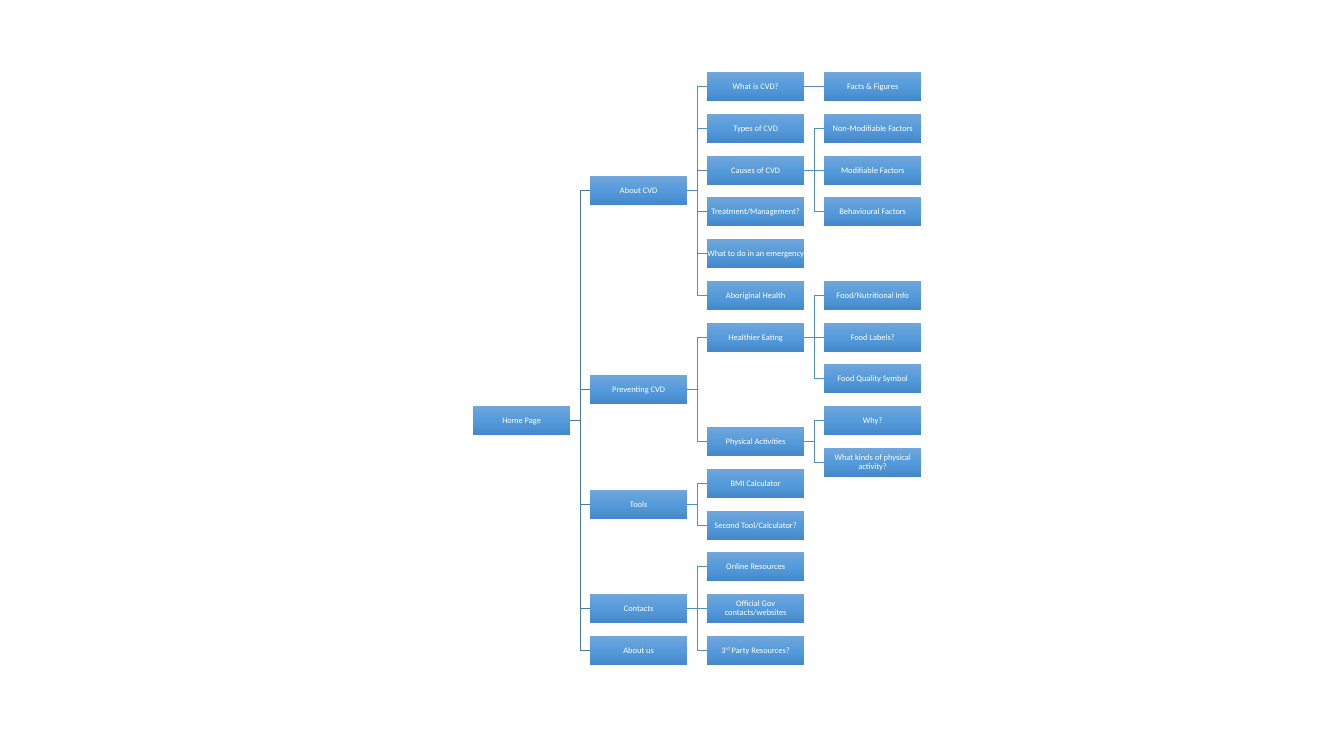
"""Site map of a heart health website, laid out as a compact left-to-right tree."""
from dataclasses import dataclass
from itertools import zip_longest

from pptx import Presentation, oxml, util as u
from pptx.dml.color import RGBColor
from pptx.enum import shapes, text
from pptx.oxml import ns


@dataclass(frozen=True)
class Theme:
    font: str = "Calibri"
    size: float = 6
    ink: str = "FFFFFF"
    stops: tuple = ((0, "71A6DB"), (50, "559BDB"), (100, "448ACA"))
    trunk: str = "497CAB"
    twig: str = "538DC1"
    stroke: float = 0.5


SCALE = 914400 / 100.8
LEFT, TOP, WIDE, HIGH = 473, 72, 97, 29
STEP, SPAN, ROWS = 117, 564, 13.5

SITE = {
    "About CVD": {
        "What is CVD?": {"Facts & Figures": {}},
        "Types of CVD": {},
        "Causes of CVD": {
            "Non-Modifiable Factors": {},
            "Modifiable Factors": {},
            "Behavioural Factors": {},
        },
        "Treatment/Management?": {},
        "What to do in an emergency": {},
        "Aboriginal Health": {},
    },
    "Preventing CVD": {
        "Healthier Eating": {
            "Food/Nutritional Info": {},
            "Food Labels?": {},
            "Food Quality Symbol": {},
        },
        "Physical Activities": {
            "Why?": {},
            "What kinds of physical activity?": {},
        },
    },
    "Tools": {"BMI Calculator": {}, "Second Tool/Calculator?": {}},
    "Contacts": {
        "Online Resources": {},
        "Official Gov contacts/websites": {},
        "3^rd^ Party Resources?": {},
    },
    "About us": {},
}


class Node:
    """A page of the site, placed midway between its first and last child."""

    def __init__(self, name, tree):
        self.name, self.row = name, 0
        self.kids = [Node(*item) for item in tree.items()]
        tops, ends = [], []
        for kid in self.kids:
            gaps = [end + 1 - top for end, top in zip(ends, kid.tops)]
            kid.move(max(gaps, default=0))
            tops = [a if a is not None else b
                    for a, b in zip_longest(tops, kid.tops)]
            ends = [b if b is not None else a
                    for a, b in zip_longest(ends, kid.ends)]
        if self.kids:
            self.row = (self.kids[0].row + self.kids[-1].row) / 2
        self.tops, self.ends = [self.row] + tops, [self.row] + ends

    def move(self, shift):
        """Shift this page and everything below it by some rows."""
        self.row += shift
        self.tops = [top + shift for top in self.tops]
        self.ends = [end + shift for end in self.ends]
        for kid in self.kids:
            kid.move(shift)


class Page:
    """Holds the style and the current slide."""

    def __init__(self, slide, theme):
        self.slide, self.theme = slide, theme

    def box(self, name, left, top):
        """Draw a gradient box with a centred label; carets mark superscript."""
        look = self.theme
        box = self.slide.shapes.add_shape(
            shapes.MSO_SHAPE.RECTANGLE,
            *(round(n * SCALE) for n in (left, top, WIDE, HIGH)))
        box.shadow.inherit = False
        box.line.fill.background()
        stops = "".join(
            f'<a:gs pos="{pos * 1000}"><a:srgbClr val="{tone}"/></a:gs>'
            for pos, tone in look.stops)
        box._element.spPr.insert(2, oxml.parse_xml(
            f'<a:gradFill {ns.nsdecls("a")}><a:gsLst>{stops}</a:gsLst>'
            '<a:lin ang="5400000" scaled="0"/></a:gradFill>'))
        frame = box.text_frame
        frame.word_wrap = True
        frame.vertical_anchor = text.MSO_ANCHOR.MIDDLE
        frame.margin_left = frame.margin_right = 0
        frame.margin_top = frame.margin_bottom = 0
        para = frame.paragraphs[0]
        para.alignment = text.PP_ALIGN.CENTER
        para.line_spacing = 0.9
        for spot, part in enumerate(name.split("^")):
            run = para.add_run()
            run.text = part
            run.font.name, run.font.size = look.font, u.Pt(look.size)
            run.font.color.rgb = RGBColor.from_string(look.ink)
            if spot % 2:
                run.font._element.set("baseline", "30000")
        return box

    def link(self, start, end, tone):
        """Join the right side of one box to the left side of another."""
        kinds = shapes.MSO_CONNECTOR
        kind = kinds.STRAIGHT if start.top == end.top else kinds.ELBOW
        line = self.slide.shapes.add_connector(kind, 0, 0, 0, 0)
        line.begin_connect(start, 3)
        line.end_connect(end, 1)
        line.line.color.rgb = RGBColor.from_string(tone)
        line.line.width = u.Pt(self.theme.stroke)
        line._element.spPr.append(
            oxml.parse_xml(f'<a:effectLst {ns.nsdecls("a")}/>'))

    def tree(self, node, depth=0):
        """Draw a page with all its children and return its box."""
        top = round(TOP + SPAN * node.row / ROWS)
        box = self.box(node.name, LEFT + STEP * depth, top)
        tone = self.theme.twig if depth else self.theme.trunk
        for kid in node.kids:
            self.link(box, self.tree(kid, depth + 1), tone)
        return box


deck = Presentation()
deck.slide_width, deck.slide_height = u.Inches(13.33), u.Inches(7.5)
page = Page(deck.slides.add_slide(deck.slide_layouts[6]), Theme())
page.tree(Node("Home Page", SITE))
deck.save("out.pptx")
